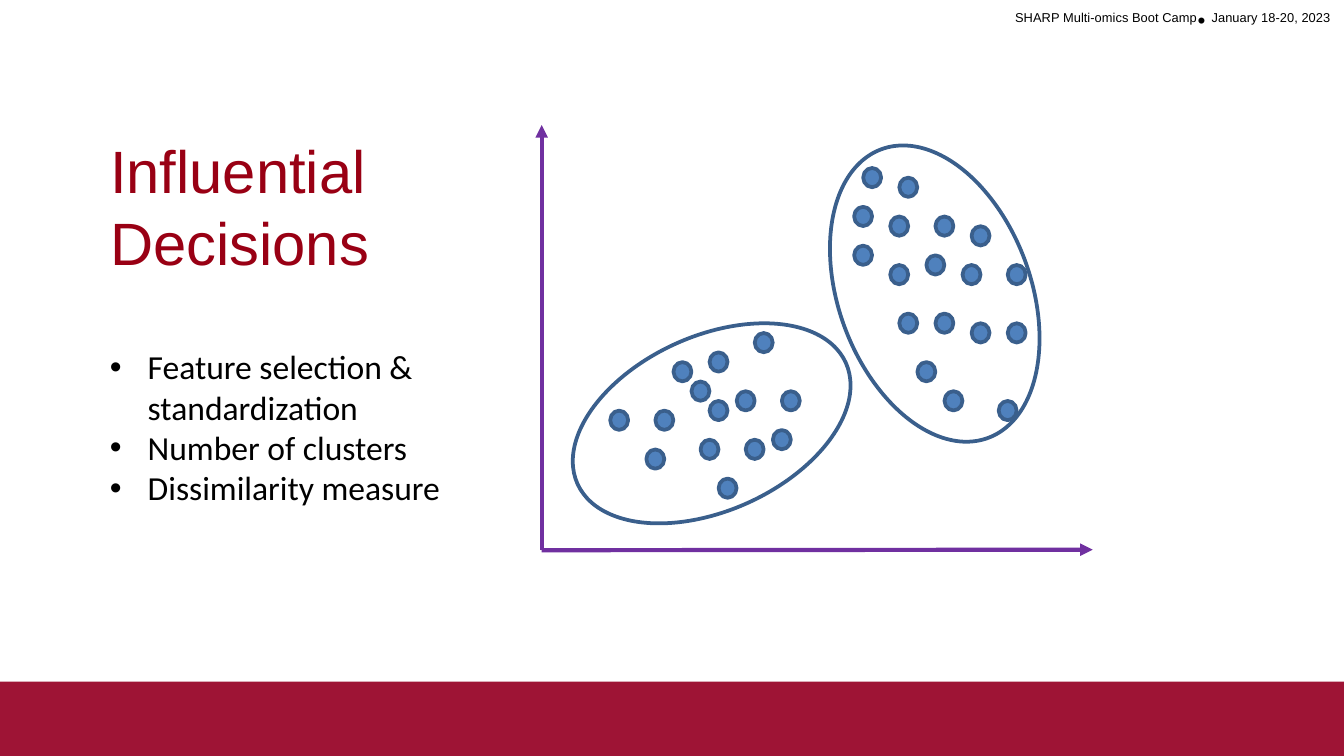
"""Build a slide on the decisions that influence a clustering."""
from lxml.etree import SubElement
from pptx import Presentation
from pptx.dml.color import RGBColor
from pptx.enum.shapes import MSO_CONNECTOR, MSO_SHAPE
from pptx.enum.text import MSO_ANCHOR, MSO_AUTO_SIZE, PP_ALIGN
from pptx.oxml.ns import qn
from pptx.util import Pt

CRIMSON = RGBColor(0x9E, 0x14, 0x35)
TITLE_RED = RGBColor(0x99, 0x00, 0x14)
BLACK = RGBColor(0x00, 0x00, 0x00)
DOT_BLUE = RGBColor(0x4F, 0x81, 0xBD)
OUTLINE_BLUE = RGBColor(0x3A, 0x5F, 0x8C)
AXIS_PURPLE = RGBColor(0x70, 0x30, 0xA0)


def add_text(paragraph, text, font="Arial", size=12, color=BLACK, raised=0):
    span = paragraph.add_run()
    span.text = text
    span.font.name = font
    span.font.size = Pt(size)
    span.font.color.rgb = color
    if raised:
        span.font._element.set("baseline", str(raised * 1000))


def add_figure(kind, left, top, width, height, fill=None, line=None):
    figure = page.shapes.add_shape(kind, Pt(left), Pt(top), Pt(width), Pt(height))
    figure.shadow.inherit = False
    if fill is None:
        figure.fill.background()
    else:
        figure.fill.solid()
        figure.fill.fore_color.rgb = fill
    if line is None:
        figure.line.fill.background()
    else:
        figure.line.color.rgb = line
        figure.line.width = Pt(2)
    return figure


deck = Presentation()
deck.slide_width = Pt(720)
deck.slide_height = Pt(405)
page = deck.slides.add_slide(deck.slide_layouts[5])

add_figure(MSO_SHAPE.RECTANGLE, 0, 365.2, 720, 39.8, fill=CRIMSON)

header = page.shapes.add_textbox(Pt(435), Pt(0), Pt(285), Pt(21.6))
header.text_frame.word_wrap = True
header_line = header.text_frame.paragraphs[0]
header_line.alignment = PP_ALIGN.RIGHT
add_text(header_line, "SHARP Multi-omics Boot Camp", raised=30)
add_text(header_line, "• ")
add_text(header_line, "January 18-20, 2023", raised=30)

title = page.shapes.title
title.left, title.top, title.width, title.height = Pt(51.8), Pt(68), Pt(212.4), Pt(86)
title.text_frame.word_wrap = True
title.text_frame.auto_size = MSO_AUTO_SIZE.NONE
title.text_frame.vertical_anchor = MSO_ANCHOR.TOP
title_line = title.text_frame.paragraphs[0]
title_line.alignment = PP_ALIGN.LEFT
title_line.line_spacing = Pt(38.6)
add_text(title_line, "Influential Decisions", size=32, color=TITLE_RED)

decisions = page.shapes.add_textbox(Pt(51.8), Pt(182), Pt(212.4), Pt(94))
decisions.text_frame.word_wrap = True
decision_texts = ["Feature selection & standardization", "Number of clusters",
                  "Dissimilarity measure"]
for index, text in enumerate(decision_texts):
    frame = decisions.text_frame
    paragraph = frame.add_paragraph() if index else frame.paragraphs[0]
    properties = paragraph._p.get_or_add_pPr()
    properties.set("marL", str(Pt(20.25)))
    properties.set("indent", str(-Pt(20.25)))
    SubElement(properties, qn("a:buFont"), typeface="Arial")
    SubElement(properties, qn("a:buChar"), char="•")
    add_text(paragraph, text, font="Calibri", size=18)

GRID_LEFT, GRID_TOP = 326.9, 90
COLUMN_STEP, ROW_STEP = 4.84, 5.2
lower_cluster = [
    (16, 17), (11, 19), (9, 22), (7, 20), (5, 25), (0, 25), (4, 29), (19, 23),
    (14, 23), (18, 27), (11, 24), (15, 28), (10, 28), (12, 32),
]
upper_cluster = [
    (32, 1), (36, 5), (31, 5), (35, 9), (27, 8), (31, 10), (36, 15), (32, 15),
    (34, 20), (43, 24), (40, 6), (44, 10), (39, 10), (44, 16), (40, 16),
    (28, 0), (37, 23), (27, 4),
]
for column, row in lower_cluster + upper_cluster:
    add_figure(MSO_SHAPE.OVAL, GRID_LEFT + column * COLUMN_STEP,
               GRID_TOP + row * ROW_STEP, 9.6, 10.3, DOT_BLUE, OUTLINE_BLUE)

upper_outline = add_figure(MSO_SHAPE.OVAL, 418.3, 105.8, 164.9, 103, line=OUTLINE_BLUE)
upper_outline.rotation = 69.7
lower_outline = add_figure(MSO_SHAPE.OVAL, 302.4, 180, 157.7, 93.6, line=OUTLINE_BLUE)
lower_outline.rotation = 335.7

ORIGIN = (290.2, 294.8)
for end_x, end_y in [(290.2, 67), (585.4, 294.5)]:
    axis = page.shapes.add_connector(MSO_CONNECTOR.STRAIGHT, Pt(ORIGIN[0]),
                                     Pt(ORIGIN[1]), Pt(end_x), Pt(end_y))
    axis.line.color.rgb = AXIS_PURPLE
    axis.line.width = Pt(2.25)
    SubElement(axis.line._get_or_add_ln(), qn("a:tailEnd"), type="triangle")
    SubElement(axis._element.spPr, qn("a:effectLst"))

deck.save("out.pptx")
